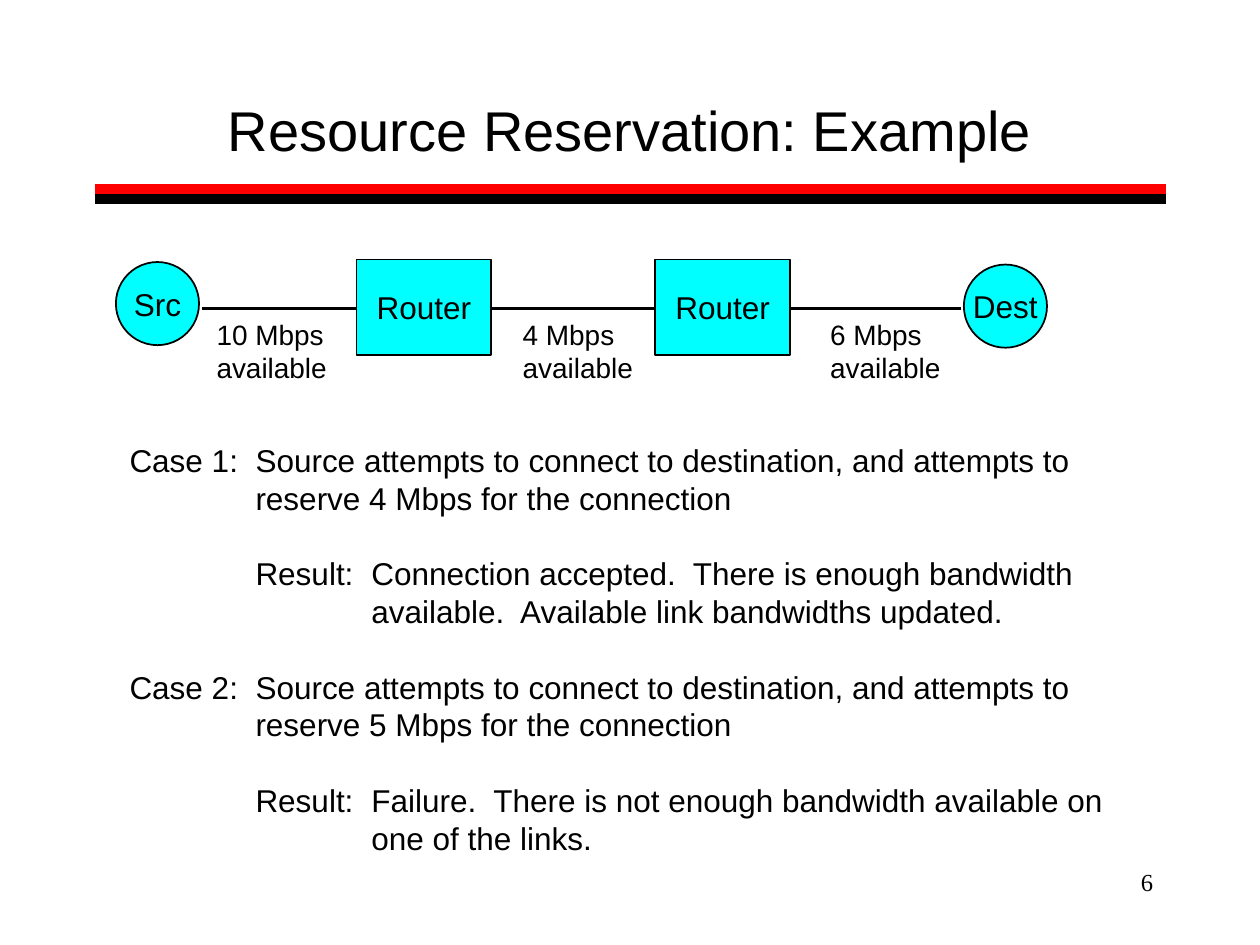
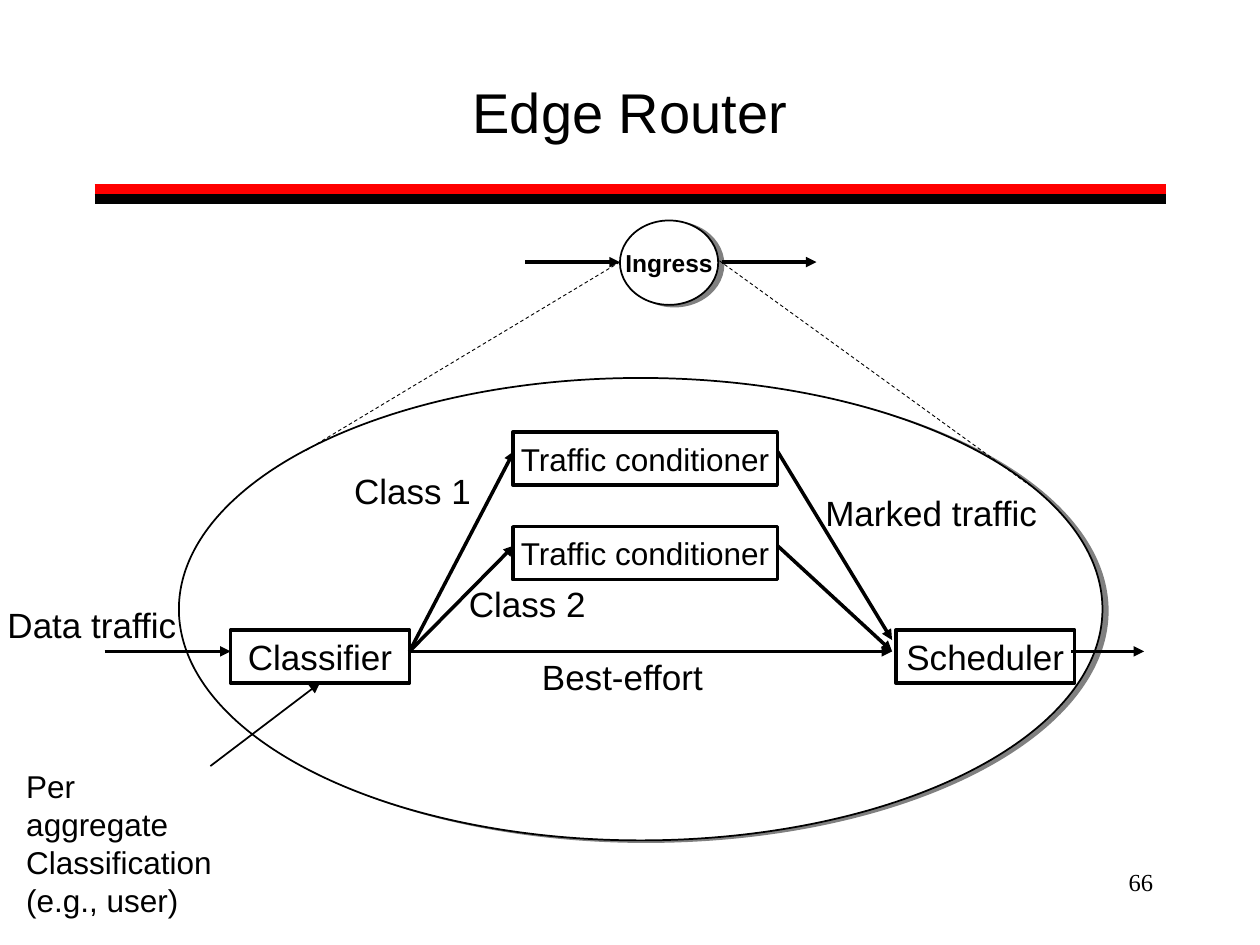
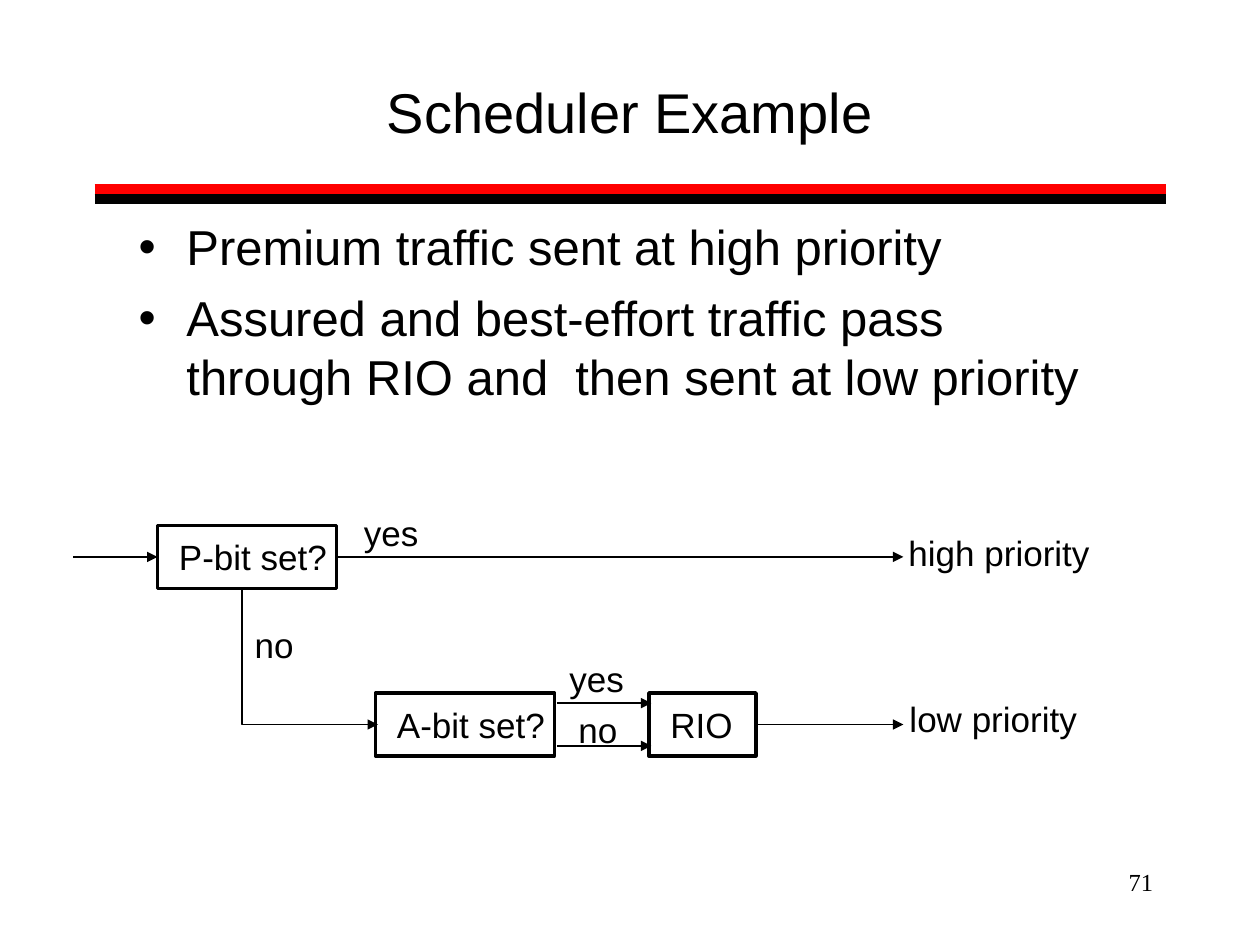
import dataclasses
import typing

import pptx
import pptx.dml.color
import pptx.enum.dml
import pptx.enum.shapes
import pptx.enum.text
import pptx.oxml
import pptx.oxml.ns
import pptx.util

Inches = pptx.util.Inches
Pt = pptx.util.Pt
ALIGN = pptx.enum.text.PP_ALIGN
ANCHOR = pptx.enum.text.MSO_ANCHOR
AUTOSIZE = pptx.enum.text.MSO_AUTO_SIZE
SHAPE = pptx.enum.shapes.MSO_SHAPE
DASH = pptx.enum.dml.MSO_LINE.DASH

BLACK, WHITE, RED, CYAN, GREY = "000000", "FFFFFF", "FF0000", "00FFFF", "808080"
SANS, SERIF = "Arial", "Times New Roman"
TOP, LEFT, BOTTOM, RIGHT = range(4)
TITLE_AND_BODY, TITLE_ONLY = 1, 5


@dataclasses.dataclass
class Box:
    left: float
    top: float
    width: float
    height: float
    text: str = ""
    kind: typing.Any = SHAPE.RECTANGLE
    fill: str | None = None
    weight: float = 2
    size: float = 18
    bold: bool = False
    inset: float | None = None
    shadow: bool = False


@dataclasses.dataclass
class Label:
    left: float
    top: float
    width: float
    height: float
    text: str
    size: float = 20
    align: typing.Any = ALIGN.CENTER


@dataclasses.dataclass
class Line:
    x1: float
    y1: float
    x2: float
    y2: float
    weight: float = 2
    color: str = BLACK
    arrow: bool = True
    dashed: bool = False
    start: tuple | None = None
    end: tuple | None = None


def rgb(color: str):
    return pptx.dml.color.RGBColor.from_string(color)


def add_xml(parent, tag: str, inner: str = "", **attrs):
    pairs = "".join(f' {k}="{v}"' for k, v in attrs.items())
    ns = pptx.oxml.ns.nsdecls("a")
    parent.append(pptx.oxml.parse_xml(f"<a:{tag} {ns}{pairs}>{inner}</a:{tag}>"))


def write(tf, text: str, *, size: float = 18, font: str = SANS, color: str = BLACK,
          bold: bool = False, align=ALIGN.LEFT, before: float = 0,
          hanging: tuple | None = None, bullet: str | None = None):
    for i, line in enumerate(text.split("\n")):
        p = tf.paragraphs[0] if i == 0 else tf.add_paragraph()
        p.text = line
        p.alignment = align
        p.space_before = Pt(before if i else 0)
        if hanging:
            pPr = p._p.get_or_add_pPr()
            pPr.set("marL", str(Inches(hanging[0])))
            pPr.set("indent", str(Inches(hanging[1])))
            if bullet:
                add_xml(pPr, "buChar", char=bullet)
        p.font.size = Pt(size)
        p.font.name = font
        p.font.bold = bold
        p.font.color.rgb = rgb(color)


def place(sp, left: float, top: float, width: float, height: float):
    sp.left, sp.top = Inches(left), Inches(top)
    sp.width, sp.height = Inches(width), Inches(height)


def style_line(sp, weight: float, color: str = BLACK, arrow: bool = False):
    sp.line.color.rgb = rgb(color)
    sp.line.width = Pt(weight)
    if arrow:
        add_xml(sp.element.spPr.find(pptx.oxml.ns.qn("a:ln")), "tailEnd", type="triangle")


def draw_box(s, box: Box):
    sp = s.shapes.add_shape(box.kind, Inches(box.left), Inches(box.top),
                            Inches(box.width), Inches(box.height))
    if box.fill:
        sp.fill.solid()
        sp.fill.fore_color.rgb = rgb(box.fill)
    else:
        sp.fill.background()
    style_line(sp, box.weight)
    if box.shadow:
        shade = (f'<a:outerShdw dist="{Pt(3.2)}" dir="{18 * 60000}" algn="ctr" '
                 f'rotWithShape="0"><a:srgbClr val="{GREY}"/></a:outerShdw>')
        add_xml(sp.element.spPr, "effectLst", shade)
    else:
        sp.shadow.inherit = False
    if box.text:
        tf = sp.text_frame
        tf.word_wrap = False
        tf.vertical_anchor = ANCHOR.MIDDLE
        if box.inset is not None:
            tf.margin_left = Inches(box.inset)
        align = ALIGN.CENTER if box.inset is None else ALIGN.LEFT
        write(tf, box.text, size=box.size, bold=box.bold, align=align)
    return sp


def draw_label(s, label: Label):
    sp = s.shapes.add_textbox(Inches(label.left), Inches(label.top),
                              Inches(label.width), Inches(label.height))
    tf = sp.text_frame
    tf.word_wrap = False
    tf.auto_size = AUTOSIZE.SHAPE_TO_FIT_TEXT
    write(tf, label.text, size=label.size, align=label.align)
    return sp


def draw_line(s, line: Line):
    sp = s.shapes.add_connector(pptx.enum.shapes.MSO_CONNECTOR.STRAIGHT,
                                Inches(line.x1), Inches(line.y1),
                                Inches(line.x2), Inches(line.y2))
    if line.start:
        sp.begin_connect(*line.start)
    if line.end:
        sp.end_connect(*line.end)
    if line.dashed:
        sp.line.dash_style = DASH
    style_line(sp, line.weight, line.color, line.arrow)
    add_xml(sp.element.spPr, "effectLst")
    return sp


def add_bands(prs, s):
    for y, color in ((1.5, RED), (1.58, BLACK)):
        band = draw_line(s, Line(0.75, y, 9.25, y, 6, color, arrow=False))
        prs.slide_master.shapes.element.append(band.element)


def new_slide(prs, title: str, number: int, layout: int = TITLE_ONLY,
              anchor=ANCHOR.MIDDLE):
    s = prs.slides.add_slide(prs.slide_layouts[layout])
    place(s.shapes.title, 0.75, 0.42, 8.5, 0.92)
    tf = s.shapes.title.text_frame
    tf.auto_size = AUTOSIZE.NONE
    tf.vertical_anchor = anchor
    write(tf, title, size=32, align=ALIGN.CENTER)
    sp = s.shapes.add_textbox(Inches(7.17), Inches(6.83), Inches(2.08), Inches(0.5))
    sp.text_frame.word_wrap = True
    write(sp.text_frame, str(number), size=14, font=SERIF, align=ALIGN.RIGHT)
    return s


def reservation_slide(prs):
    s = new_slide(prs, "Resource Reservation: Example", 6, anchor=ANCHOR.BOTTOM)
    add_bands(prs, s)
    draw_line(s, Line(1.6, 2.45, 7.63, 2.45, arrow=False))
    for left in (2.83, 5.2):
        draw_box(s, Box(left, 2.06, 1.07, 0.76, "Router", fill=CYAN, weight=1))
    for left, top, name in ((0.92, 2.08, "Src"), (7.65, 2.1, "Dest")):
        draw_box(s, Box(left, top, 0.66, 0.66, name, SHAPE.OVAL, CYAN, 1))
    for left, rate in ((1.62, 10), (4.05, 4), (6.49, 6)):
        draw_label(s, Label(left, 2.47, 1.08, 0.63, f"{rate} Mbps\navailable", 16, ALIGN.LEFT))

    sp = s.shapes.add_textbox(Inches(0.93), Inches(3.45), Inches(7.93), Inches(3.4))
    tf = sp.text_frame
    tf.word_wrap = False
    case = ("Case {}:\tSource attempts to connect to destination, and attempts to"
            "\vreserve {} Mbps for the connection")
    write(tf, "\n".join((
        case.format(1, 4),
        "Result:\tConnection accepted.  There is enough bandwidth"
        "\vavailable.  Available link bandwidths updated.",
        case.format(2, 5),
        "Result:\tFailure.  There is not enough bandwidth available on\vone of the links.",
    )), before=21.6, hanging=(1, -1))
    for p in tf.paragraphs[1::2]:
        p._p.pPr.set("marL", str(Inches(1.92)))
        p._p.pPr.set("indent", str(Inches(-0.92)))


def edge_router_slide(prs):
    s = new_slide(prs, "Edge Router", 66)
    draw_box(s, Box(1.42, 3, 7.33, 3.67, kind=SHAPE.OVAL, fill=WHITE, weight=1, shadow=True))
    classifier = draw_box(s, Box(1.83, 5, 1.42, 0.42, "Classifier", size=20))
    for top in (3.43, 4.18):
        draw_box(s, Box(4.07, top, 2.1, 0.42, "Traffic conditioner"))
    draw_box(s, Box(7.11, 5, 1.42, 0.42, "Scheduler", size=20))
    draw_box(s, Box(4.92, 1.75, 0.78, 0.67, "Ingress", SHAPE.OVAL, WHITE, 1, 14,
                    bold=True, shadow=True))
    for line in (
        Line(0.83, 5.17, 1.83, 5.17),
        Line(3.25, 5.17, 7.08, 5.17),
        Line(8.5, 5.17, 9.08, 5.17),
        Line(3.25, 5.17, 4.08, 3.58),
        Line(3.25, 5.17, 4.08, 4.33),
        Line(6.17, 3.58, 7.08, 5.08),
        Line(6.17, 4.33, 7.08, 5.17),
        Line(4.17, 2.08, 4.92, 2.08),
        Line(5.73, 2.08, 6.48, 2.08),
        Line(4.92, 2.08, 2.42, 3.58, 0.5, arrow=False, dashed=True),
        Line(5.71, 2.07, 8.17, 3.85, 0.5, arrow=False, dashed=True),
        Line(1.67, 6.08, 2.5, 5.42, 1, end=(classifier, BOTTOM)),
    ):
        draw_line(s, line)
    for label in (
        Label(2.71, 3.68, 1.13, 0.43, "Class 1"),
        Label(3.62, 4.57, 1.13, 0.43, "Class 2"),
        Label(4.2, 5.15, 1.48, 0.43, "Best-effort"),
        Label(6.45, 3.85, 1.88, 0.43, "Marked traffic"),
        Label(-0.04, 4.74, 1.54, 0.43, "Data traffic"),
        Label(0.11, 6.04, 1.78, 1, "Per aggregate\nClassification\n(e.g., user)", 18, ALIGN.LEFT),
    ):
        draw_label(s, label)


def scheduler_slide(prs):
    s = new_slide(prs, "Scheduler Example", 71, TITLE_AND_BODY)
    body = s.placeholders[1]
    place(body, 1, 1.67, 7.92, 1.92)
    body.text_frame.auto_size = AUTOSIZE.NONE
    write(body.text_frame, "Premium traffic sent at high priority\n"
          "Assured and best-effort traffic pass through RIO and  then sent at low priority",
          size=28, before=7, hanging=(0.38, -0.38), bullet="•")

    p_bit, a_bit, rio = (
        draw_box(s, Box(left, top, width, 0.5, text, size=20, inset=0.17))
        for left, top, width, text in ((1.25, 4.17, 1.42, "P-bit set?"),
                                       (2.98, 5.5, 1.42, "A-bit set?"),
                                       (5.15, 5.5, 0.85, "RIO")))
    fb = s.shapes.build_freeform(Inches(1.92), Inches(4.67))
    fb.add_line_segments([(Inches(1.92), Inches(5.75)), (Inches(3), Inches(5.75))], close=False)
    elbow = fb.convert_to_shape()
    elbow.fill.background()
    style_line(elbow, 1, arrow=True)
    elbow.shadow.inherit = False
    for line in (
        Line(0.58, 4.42, 1.25, 4.42, 1, end=(p_bit, LEFT)),
        Line(2.67, 4.42, 7.17, 4.42, 1, start=(p_bit, RIGHT)),
        Line(4.42, 5.58, 5.17, 5.58, 1),
        Line(4.42, 5.92, 5.17, 5.92, 1),
        Line(6, 5.75, 7.17, 5.75, 1, start=(rio, RIGHT)),
    ):
        draw_line(s, line)
    for label in (
        Label(2.79, 4.01, 0.63, 0.43, "yes"),
        Label(1.92, 4.9, 0.51, 0.43, "no"),
        Label(4.42, 5.17, 0.63, 0.43, "yes"),
        Label(4.49, 5.57, 0.51, 0.43, "no"),
        Label(7.11, 4.17, 1.64, 0.43, "high priority"),
        Label(7.12, 5.49, 1.53, 0.43, "low priority", align=ALIGN.LEFT),
    ):
        draw_label(s, label)


def main():
    prs = pptx.Presentation()
    prs.slide_width, prs.slide_height = Inches(10), Inches(7.5)
    reservation_slide(prs)
    edge_router_slide(prs)
    scheduler_slide(prs)
    prs.save("out.pptx")


if __name__ == "__main__":
    main()
